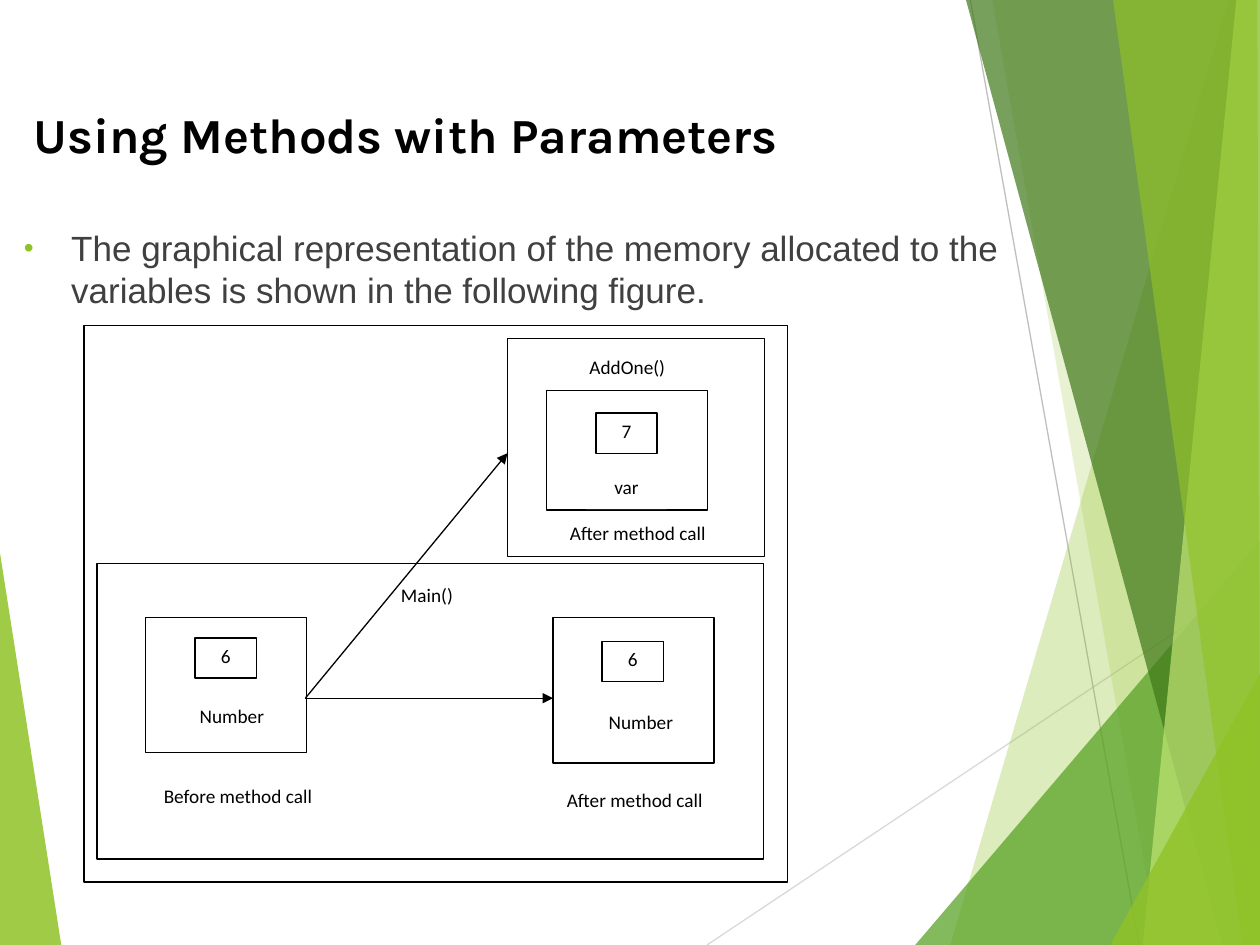
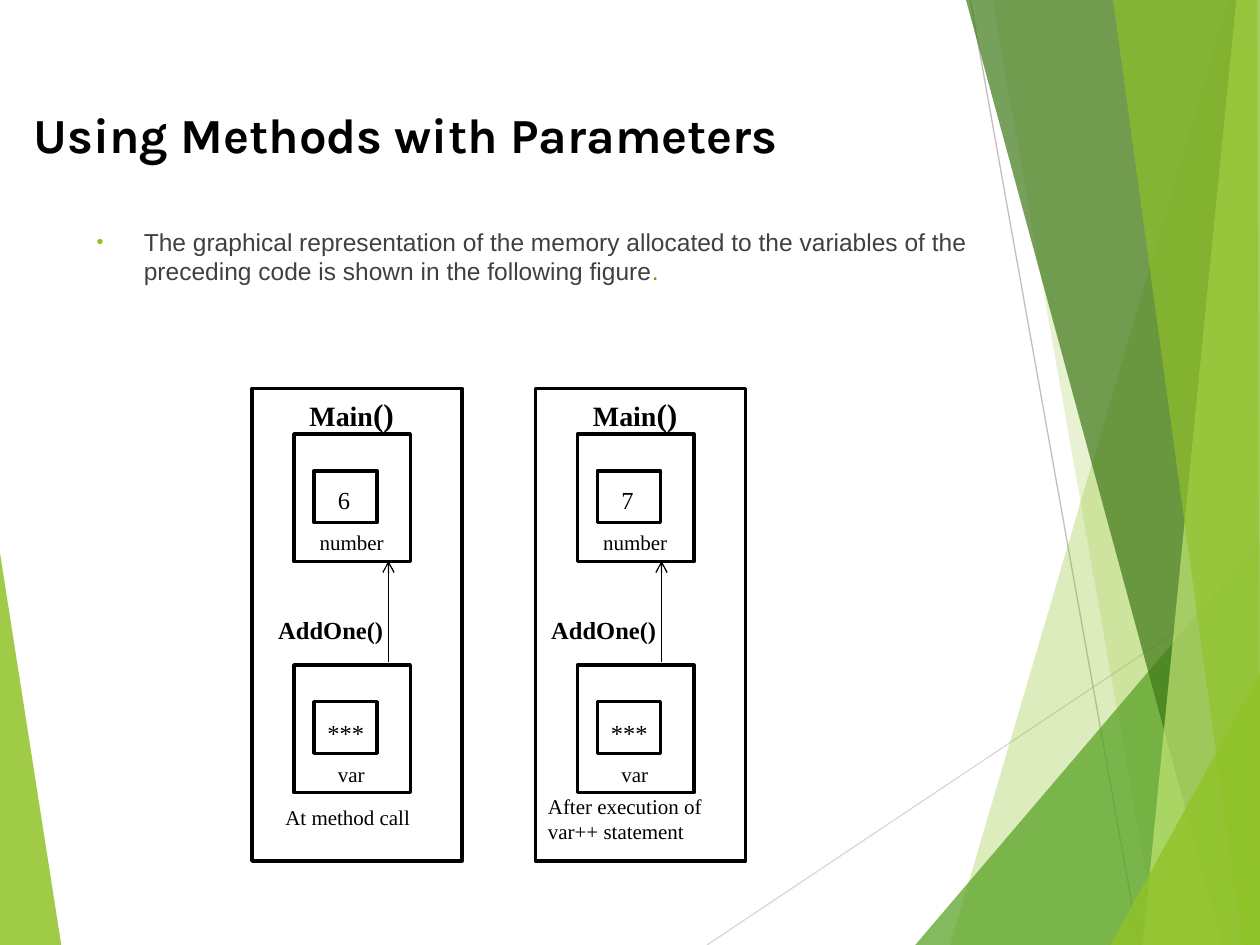
from lxml import etree
from pptx import Presentation
from pptx.dml.color import RGBColor
from pptx.enum.shapes import MSO_CONNECTOR, MSO_SHAPE
from pptx.enum.text import MSO_ANCHOR, MSO_AUTO_SIZE, PP_ALIGN
from pptx.oxml.ns import qn
from pptx.util import Pt

STRAIGHT = MSO_CONNECTOR.STRAIGHT
RECTANGLE = MSO_SHAPE.RECTANGLE
TOP = MSO_ANCHOR.TOP
NO_AUTOFIT = MSO_AUTO_SIZE.NONE
LEFT, CENTER = PP_ALIGN.LEFT, PP_ALIGN.CENTER

WIDTH, HEIGHT = 720, 540
BLACK, WHITE, BODY_GREY = "000000", "FFFFFF", "404040"
LIME, GREEN, FOREST, PALE = "90C226", "54A021", "3F7819", "C0E474"

# Theme decoration: from, to, colour
RAYS = [((404, 540), (720, 329), "D9D9D9"), ((554.5, 0), (651, 540), "BFBFBF")]
# Theme decoration: colour, opacity in percent, corners
FACETS = [
    (LIME, 85, [(0, 316), (35, 540), (0, 540)]),
    (LIME, 30, [(702, 0), (543, 540), (720, 540), (720, 0)]),
    (LIME, 20, [(567, 0), (662, 540), (720, 540), (720, 0)]),
    (GREEN, 72, [(523, 540), (720, 309), (720, 540)]),
    (FOREST, 70, [(552, 0), (698.5, 540), (720, 540), (720, 0)]),
    (PALE, 70, [(706.5, 0), (653, 540), (720, 540), (720, 0)]),
    (LIME, 65, [(636, 0), (710, 540), (720, 540), (718.5, 0)]),
    (LIME, 80, [(634.5, 540), (720, 385), (720, 540)]),
]

TITLE = "Using Methods with Parameters"
TITLE_AREA = (12, 56, 690, 41)

VALUE_INTRO = [("The graphical representation of the memory allocated to the variables "
                "is shown in the following figure.", 20, BODY_GREY)]
REFERENCE_INTRO = [("The graphical representation of the memory allocated to the variables "
                    "of the preceding code is shown in the following figure", 14, BODY_GREY),
                   (".", 14, GREEN)]

# Passing by value: outlined areas, then (text, area) pairs
MEMORY_AREA = (48, 186, 402, 318)
FRAMES = [
    (290, 193.5, 147, 124.5),
    (55.5, 322, 381, 169),
    (83, 353, 92, 77),
    (312.5, 223, 92, 68.5),
    (316, 353, 92, 83),
]
LABELS = [
    ("AddOne()", (312.5, 199.5, 92, 21.5)),
    ("var", (335, 268, 46, 23)),
    ("After method call", (301, 294.5, 127, 23)),
    ("Main()", (198, 330, 92, 23.5)),
    ("Number", (101.5, 399, 62, 23)),
    ("Before method call", (67.5, 444.5, 137, 31)),
    ("Number", (335, 402.5, 62.5, 23)),
    ("After method call", (294, 447, 137.5, 23)),
]
VALUES = [
    ("7", (340.5, 236, 35, 23)),
    ("6", (111.5, 364.5, 35, 23)),
    ("6", (344, 366.5, 35, 23)),
]
CALL_START = (174.5, 399)
CALL_ENDS = [(316, 399), (290, 259)]

# Passing by reference: one column for each moment
MOMENTS = [
    {"value": "6", "caption": "At method call", "caption_area": (12, 456.5, 102, 22),
     "call_shift": 0},
    {"value": "7", "caption": "After execution of var++ statement",
     "caption_area": (0, 450, 126, 36), "call_shift": -6},
]
COLUMN_LEFT, COLUMN_STEP = 144, 162
CELL_TOP, CELL_STEP = 248, 132


def color(hex_string):
    return RGBColor.from_string(hex_string)


def lengths(values):
    return [Pt(value) for value in values]


def format_span(span, font, size, hex_string, bold=False):
    span.font.name = font
    span.font.size = Pt(size)
    span.font.bold = bold
    span.font.color.rgb = color(hex_string)


def add_line(page, start, end, hex_string=BLACK, head=None):
    line = page.shapes.add_connector(STRAIGHT, *lengths(start + end))
    line.line.color.rgb = color(hex_string)
    line.line.width = Pt(0.75)
    properties = line.element.spPr
    if head:
        etree.SubElement(properties.find(qn("a:ln")), qn("a:tailEnd"), type=head)
    etree.SubElement(properties, qn("a:effectLst"))
    return line


def add_facet(page, hex_string, opacity, corners):
    points = [lengths(corner) for corner in corners]
    builder = page.shapes.build_freeform(*points[0], scale=1.0)
    builder.add_line_segments(points[1:], close=True)
    facet = builder.convert_to_shape()
    facet.shadow.inherit = False
    facet.fill.solid()
    facet.fill.fore_color.rgb = color(hex_string)
    facet.line.fill.background()
    tint = facet.element.spPr.find(qn("a:solidFill")).find(qn("a:srgbClr"))
    etree.SubElement(tint, qn("a:alpha"), val=str(opacity * 1000))
    return facet


def decorate_layout(layout, page):
    """Draw the theme on a page and move it to the layout that all pages use."""
    parts = [add_line(page, *ray) for ray in RAYS]
    parts += [add_facet(page, *facet) for facet in FACETS]
    for number, part in enumerate(parts, start=100):
        part.element.xpath(".//p:cNvPr")[0].set("id", str(number))
        layout.shapes.element.append(part.element)


def place(shape, area):
    shape.left, shape.top, shape.width, shape.height = lengths(area)


def fill_placeholder(holder, area, spans, font, bold=False):
    """Spans are (text, size, colour) tuples."""
    place(holder, area)
    frame = holder.text_frame
    frame.auto_size = NO_AUTOFIT
    frame.vertical_anchor = TOP
    para = frame.paragraphs[0]
    para.alignment = LEFT
    para.space_before = Pt(0)
    for text, size, hex_string in spans:
        span = para.add_run()
        span.text = text
        format_span(span, font, size, hex_string, bold)
    return para


def add_bullet(para):
    properties = para._p.get_or_add_pPr()
    properties.set("marL", str(Pt(27)))
    properties.set("indent", str(-Pt(27)))
    tint = etree.SubElement(properties, qn("a:buClr"))
    etree.SubElement(tint, qn("a:srgbClr"), val=LIME)
    etree.SubElement(properties, qn("a:buSzPct"), val="80000")
    etree.SubElement(properties, qn("a:buFont"), typeface="Arial")
    etree.SubElement(properties, qn("a:buChar"), char="•")


def add_headings(page, intro, intro_area):
    fill_placeholder(page.shapes.title, TITLE_AREA, [(TITLE, 28, BLACK)], "Karla", bold=True)
    add_bullet(fill_placeholder(page.placeholders[1], intro_area, intro, "Arial"))


def add_box(page, area, fill=None, line_width=None):
    box = page.shapes.add_shape(RECTANGLE, *lengths(area))
    box.shadow.inherit = False
    if fill:
        box.fill.solid()
        box.fill.fore_color.rgb = color(fill)
    else:
        box.fill.background()
    if line_width:
        box.line.color.rgb = color(BLACK)
        box.line.width = Pt(line_width)
    else:
        box.line.fill.background()
    return box


def add_label(page, text, area, line_width=None):
    box = add_box(page, area, WHITE, line_width)
    frame = box.text_frame
    frame.vertical_anchor = TOP
    frame.text = text
    frame.paragraphs[0].alignment = CENTER
    format_span(frame.paragraphs[0].runs[0], "Calibri", 11, BLACK)


def add_note(page, area, *spans, align=LEFT, bold=False):
    """Spans are (text, size) tuples on one line of a text box."""
    frame = page.shapes.add_textbox(*lengths(area)).text_frame
    frame.word_wrap = True
    para = frame.paragraphs[0]
    para.alignment = align
    for text, size in spans:
        span = para.add_run()
        span.text = text
        format_span(span, "Times New Roman", size, BLACK, bold)


def draw_value_memory(page):
    add_box(page, MEMORY_AREA, line_width=0.75)
    for area in FRAMES:
        add_box(page, area, WHITE, 0.75)
    for text, area in LABELS:
        add_label(page, text, area)
    for text, area in VALUES:
        add_label(page, text, area, 0.75)
    for end in CALL_ENDS:
        add_line(page, CALL_START, end, head="triangle")


def draw_moment(page, left, moment):
    add_box(page, (left, 222, 120, 270), line_width=2)
    for top in (CELL_TOP, CELL_TOP + CELL_STEP):
        add_box(page, (left + 24, top, 66.5, 73), line_width=2)
        add_box(page, (left + 35.5, top + 21, 36, 29.5), line_width=2)
    add_note(page, (left - 6, 222, 126, 29), ("Main", 16), ("()", 18), align=CENTER, bold=True)
    add_note(page, (left + 42, 273.5, 30, 24), (moment["value"], 14))
    add_note(page, (left + 12, 299, 90, 21.5), ("number", 12), align=CENTER)
    add_note(page, (left + 36, 407, 40, 24), ("***", 14))
    add_note(page, (left + 42, 431.5, 72, 21.5), ("var", 12))
    call_left = left + moment["call_shift"]
    add_note(page, (call_left, 348, 90, 24.5), ("AddOne()", 14), align=CENTER, bold=True)
    add_line(page, (call_left + 78, 378), (call_left + 78, 320.5), head="arrow")
    x, y, width, height = moment["caption_area"]
    add_note(page, (left + x, y, width, height), (moment["caption"], 12))


def main():
    deck = Presentation()
    deck.slide_width, deck.slide_height = Pt(WIDTH), Pt(HEIGHT)
    layout = deck.slide_layouts[1]
    value_page, reference_page = [deck.slides.add_slide(layout) for _ in range(2)]
    decorate_layout(layout, value_page)

    add_headings(value_page, VALUE_INTRO, (6.5, 126, 576, 54))
    draw_value_memory(value_page)

    add_headings(reference_page, REFERENCE_INTRO, (48, 126, 515.5, 84))
    for index, moment in enumerate(MOMENTS):
        draw_moment(reference_page, COLUMN_LEFT + index * COLUMN_STEP, moment)

    deck.save("out.pptx")


if __name__ == "__main__":
    main()
